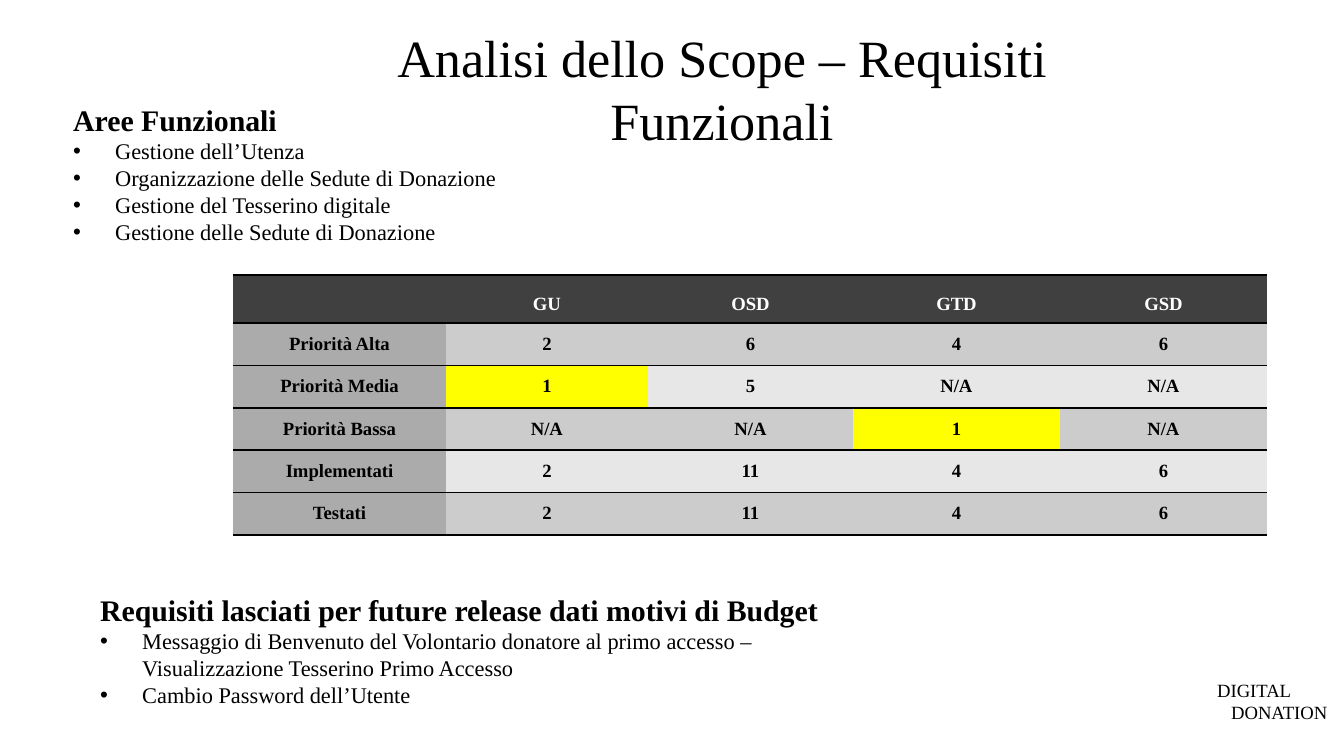
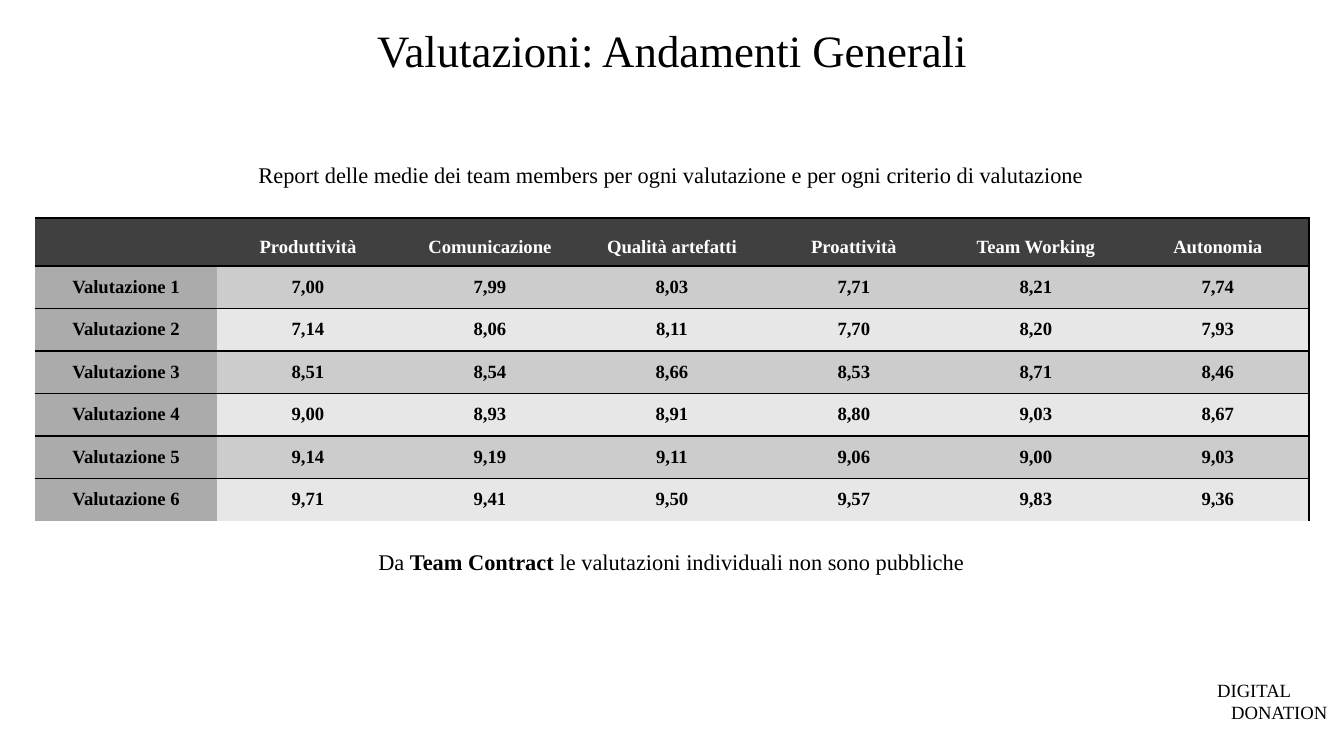
from lxml import etree
from pptx import Presentation
from pptx.dml.color import RGBColor
from pptx.enum.text import MSO_ANCHOR, MSO_AUTO_SIZE, PP_ALIGN
from pptx.oxml import parse_xml
from pptx.oxml.ns import nsdecls, qn
from pptx.util import Pt

EMU_PER_PX = 914400 / 134.4
FONT = "Times New Roman"
BLACK = RGBColor(0x00, 0x00, 0x00)
WHITE = RGBColor(0xFF, 0xFF, 0xFF)
HEADER_GREY = RGBColor(0x40, 0x40, 0x40)
LABEL_GREY = RGBColor(0xAB, 0xAB, 0xAB)
BAND_GREYS = (RGBColor(0xCC, 0xCC, 0xCC), RGBColor(0xE7, 0xE7, 0xE7))
YELLOW = RGBColor(0xFF, 0xFF, 0x00)
PLAIN_TABLE_STYLE = "{2D5ABB26-0587-4C30-8999-92F81FD0307C}"
HEADER_HEIGHT = 48
BULLET_INDENT = 42

FOOTER_BOX = (1204, 672, 171, 59)

REQUIREMENTS = [
    ["", "GU", "OSD", "GTD", "GSD"],
    ["Priorità Alta", "2", "6", "4", "6"],
    ["Priorità Media", "1", "5", "N/A", "N/A"],
    ["Priorità Bassa", "N/A", "N/A", "1", "N/A"],
    ["Implementati", "2", "11", "4", "6"],
    ["Testati", "2", "11", "4", "6"],
]
POSTPONED = {(2, 1), (3, 3)}

RATINGS = [
    ["", "Produttività", "Comunicazione", "Qualità artefatti",
     "Proattività", "Team Working", "Autonomia"],
    ["Valutazione 1", "7,00", "7,99", "8,03", "7,71", "8,21", "7,74"],
    ["Valutazione 2", "7,14", "8,06", "8,11", "7,70", "8,20", "7,93"],
    ["Valutazione 3", "8,51", "8,54", "8,66", "8,53", "8,71", "8,46"],
    ["Valutazione 4", "9,00", "8,93", "8,91", "8,80", "9,03", "8,67"],
    ["Valutazione 5", "9,14", "9,19", "9,11", "9,06", "9,00", "9,03"],
    ["Valutazione 6", "9,71", "9,41", "9,50", "9,57", "9,83", "9,36"],
]


def px(length):
    return round(length * EMU_PER_PX)


def style(paragraph, size, bold=False, color=BLACK):
    font = paragraph.font
    font.name = FONT
    font.size = Pt(size)
    font.bold = bold
    font.color.rgb = color


def add_text_frame(slide, box):
    frame = slide.shapes.add_textbox(*map(px, box)).text_frame
    frame.word_wrap = True
    frame.auto_size = MSO_AUTO_SIZE.SHAPE_TO_FIT_TEXT
    return frame


def add_centred_line(slide, box, text, size):
    line = add_text_frame(slide, box).paragraphs[0]
    line.text = text
    line.alignment = PP_ALIGN.CENTER
    style(line, size)
    return line


def add_footer(slide):
    frame = add_text_frame(slide, FOOTER_BOX)
    first, second = frame.paragraphs[0], frame.add_paragraph()
    first.text, second.text = "DIGITAL", "DONATION"
    second._p.get_or_add_pPr().set("marL", str(px(14)))
    for word in (first, second):
        style(word, 10)


def add_bullet_list(slide, box, heading, items):
    frame = add_text_frame(slide, box)
    frame.paragraphs[0].text = heading
    style(frame.paragraphs[0], 16, bold=True)
    for item in items:
        bullet = frame.add_paragraph()
        bullet.text = item
        properties = bullet._p.get_or_add_pPr()
        properties.set("marL", str(px(BULLET_INDENT)))
        properties.set("indent", str(-px(BULLET_INDENT)))
        etree.SubElement(properties, qn("a:buFont"), typeface="Arial")
        etree.SubElement(properties, qn("a:buChar"), char="•")
        style(bullet, 12)


def add_borders(cell, sides):
    """Draw black 1 pt lines; sides follow the schema order L, R, T, B."""
    properties = cell._tc.get_or_add_tcPr()
    for position, side in enumerate(sides):
        properties.insert(position, parse_xml(
            f'<a:ln{side} w="{Pt(1)}" {nsdecls("a")}><a:solidFill>'
            f'<a:srgbClr val="{BLACK}"/></a:solidFill></a:ln{side}>'))


def fill_cell(cell, text, fill, is_header):
    cell.fill.solid()
    cell.fill.fore_color.rgb = fill
    cell.vertical_anchor = MSO_ANCHOR.MIDDLE
    cell.margin_left = cell.margin_right = px(7)
    cell.margin_top = cell.margin_bottom = 0
    entry = cell.text_frame.paragraphs[0]
    if text:
        entry.text = text
        entry.alignment = PP_ALIGN.CENTER
        if is_header:
            entry.line_spacing = 1.5
    style(entry, 10, bold=True, color=WHITE if is_header else BLACK)


def add_banded_table(slide, box, rows, column_widths, highlights=(),
                     right_line=False, bottom_line=True):
    table = slide.shapes.add_table(
        len(rows), len(rows[0]), *map(px, box)).table
    table._tbl.tblPr.find(qn("a:tableStyleId")).text = PLAIN_TABLE_STYLE
    for column, width in zip(table.columns, column_widths):
        column.width = px(width)
    last_row, last_column = len(rows) - 1, len(rows[0]) - 1
    for r, row in enumerate(rows):
        table.rows[r].height = px(
            (box[3] - HEADER_HEIGHT) / last_row if r else HEADER_HEIGHT)
        for c, text in enumerate(row):
            if r == 0:
                fill = HEADER_GREY
            elif c == 0:
                fill = LABEL_GREY
            elif (r, c) in highlights:
                fill = YELLOW
            else:
                fill = BAND_GREYS[(r - 1) % 2]
            cell = table.cell(r, c)
            fill_cell(cell, text, fill, is_header=r == 0)
            sides = "R" if right_line and c == last_column else ""
            sides += "TB" if r < last_row or bottom_line else "T"
            add_borders(cell, sides)


def build_requirements_slide(slide):
    add_footer(slide)
    add_centred_line(slide, (277, 19, 890, 77),
                     "Analisi dello Scope – Requisiti Funzionali", 28)
    add_banded_table(slide, (233, 275, 1034, 260), REQUIREMENTS,
                     (213, 202, 205, 207, 207), POSTPONED)
    add_bullet_list(slide, (60, 95, 452, 159), "Aree Funzionali", [
        "Gestione dell’Utenza",
        "Organizzazione delle Sedute di Donazione",
        "Gestione del Tesserino digitale",
        "Gestione delle Sedute di Donazione",
    ])
    add_bullet_list(
        slide, (87, 585, 786, 132),
        "Requisiti lasciati per future release dati motivi di Budget", [
            "Messaggio di Benvenuto del Volontario donatore al primo accesso"
            " – Visualizzazione Tesserino Primo Accesso",
            "Cambio Password dell’Utente",
        ])


def build_ratings_slide(slide):
    add_footer(slide)
    add_centred_line(slide, (262, 16, 820, 67),
                     "Valutazioni: Andamenti Generali", 24)
    add_banded_table(slide, (35, 218, 1274, 303), RATINGS,
                     [182] * len(RATINGS[0]),
                     right_line=True, bottom_line=False)
    add_centred_line(slide, (64, 155, 1215, 41),
                     "Report delle medie dei team members per ogni valutazione"
                     " e per ogni criterio di valutazione", 12)
    privacy = add_centred_line(slide, (64, 528, 1215, 51), "Da ", 12)
    privacy.line_spacing = 1.5
    contract = privacy.add_run()
    contract.text = "Team Contract "
    contract.font.bold = True
    privacy.add_run().text = "le valutazioni individuali non sono pubbliche"


def main():
    deck = Presentation()
    deck.slide_width, deck.slide_height = px(1344), px(756)
    for build in (build_requirements_slide, build_ratings_slide):
        build(deck.slides.add_slide(deck.slide_layouts[6]))
    deck.save("out.pptx")


if __name__ == "__main__":
    main()
